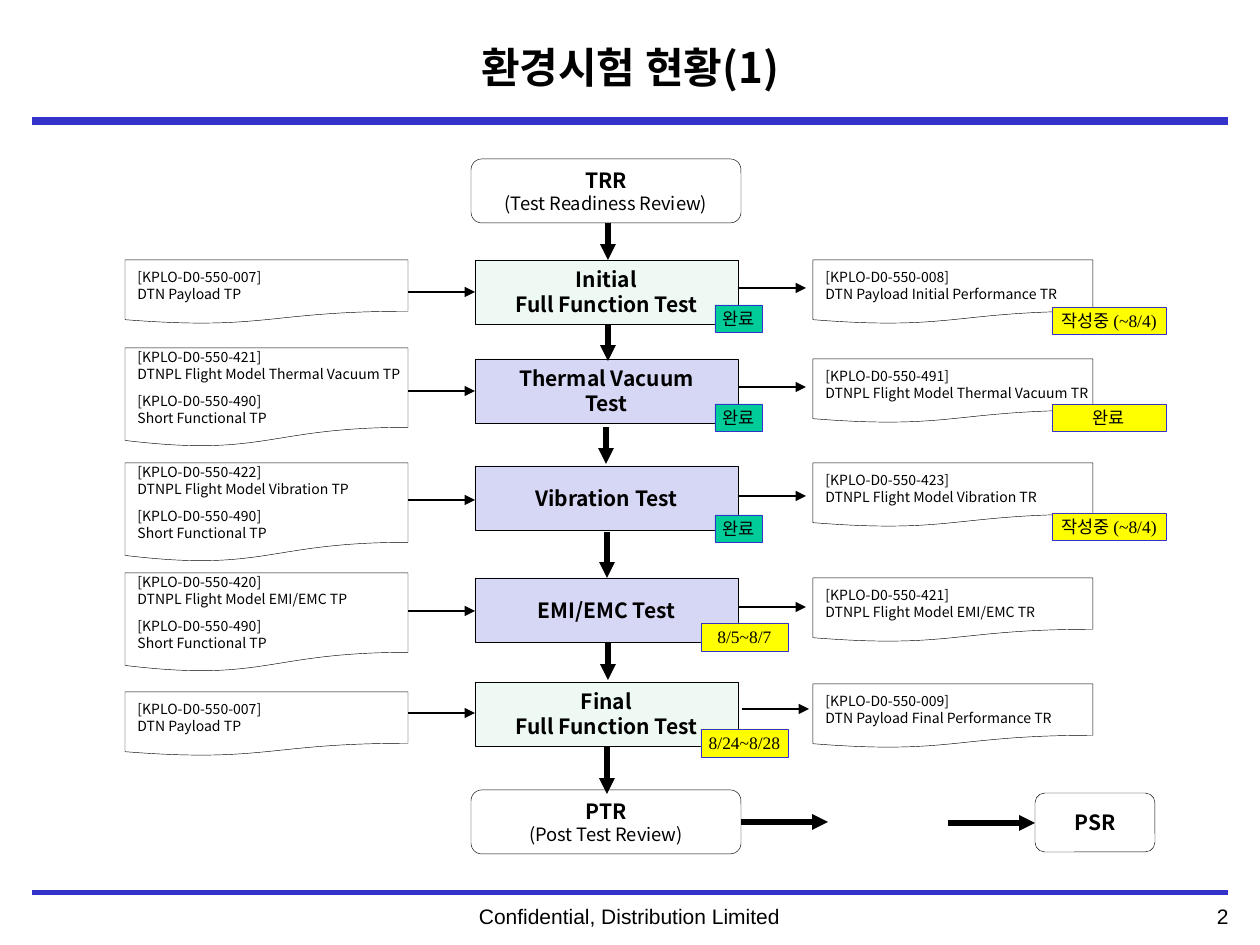
import lxml.etree
import pptx
import pptx.dml.color
import pptx.enum.shapes
import pptx.enum.text
import pptx.oxml.ns
import pptx.util

SCALE = 914400 / 126
SANS, SERIF = "Noto Sans CJK KR", "Times New Roman"
BLACK, WHITE, BLUE = "000000", "FFFFFF", "3333CC"
MINT, LAVENDER, GREEN, YELLOW = "EEF9F4", "D6D6F5", "00CC99", "FFFF00"
SHAPES = pptx.enum.shapes.MSO_SHAPE
ALIGN = pptx.enum.text.PP_ALIGN

STAGES = [
    (260, "Initial\nFull Function Test", MINT),
    (359, "Thermal Vacuum\nTest", LAVENDER),
    (466, "Vibration Test", LAVENDER),
    (578, "EMI/EMC Test", LAVENDER),
    (682, "Final\nFull Function Test", MINT),
]
SHORT_TEST = ["[KPLO-D0-550-490]", "Short Functional TP"]
PROCEDURES = [
    (260, 64, ["[KPLO-D0-550-007]", "DTN Payload TP"]),
    (348, 99, ["[KPLO-D0-550-421]", "DTNPL Flight Model Thermal Vacuum TP"] + SHORT_TEST),
    (463, 99, ["[KPLO-D0-550-422]", "DTNPL Flight Model Vibration TP"] + SHORT_TEST),
    (573, 99, ["[KPLO-D0-550-420]", "DTNPL Flight Model EMI/EMC TP"] + SHORT_TEST),
    (692, 64, ["[KPLO-D0-550-007]", "DTN Payload TP"]),
]
REPORTS = [
    (260, ["[KPLO-D0-550-008]", "DTN Payload Initial Performance TR"]),
    (359, ["[KPLO-D0-550-491]", "DTNPL Flight Model Thermal Vacuum TR"]),
    (463, ["[KPLO-D0-550-423]", "DTNPL Flight Model Vibration TR"]),
    (578, ["[KPLO-D0-550-421]", "DTNPL Flight Model EMI/EMC TR"]),
    (684, ["[KPLO-D0-550-009]", "DTN Payload Final Performance TR"]),
]
INPUT_ARROWS = [(292, 408), (391, 408), (500, 408), (611, 408), (713, 408)]
OUTPUT_ARROWS = [(288, 739), (387, 739), (496, 739), (607, 739), (709, 742)]
DOWN_ARROWS = [(608, 223, 260), (608, 325, 361), (606, 427, 464),
               (607, 532, 578), (608, 643, 680), (607, 746, 794)]
BADGES = [
    (715, 305, 47, 27, "완료", GREEN),
    (715, 404, 47, 27, "완료", GREEN),
    (715, 515, 47, 27, "완료", GREEN),
    (1052, 307, 114, 27, "작성중 (~8/4)", YELLOW),
    (1052, 404, 114, 27, "완료", YELLOW),
    (1052, 513, 114, 27, "작성중 (~8/4)", YELLOW),
    (701, 623, 87, 28, "8/5~8/7", YELLOW),
    (701, 729, 87, 28, "8/24~8/28", YELLOW),
]


def px(*lengths):
    return [pptx.util.Emu(round(length * SCALE)) for length in lengths]


def color(value):
    return pptx.dml.color.RGBColor.from_string(value)


def format_paragraph(paragraph, size, font, bold=False, align=ALIGN.LEFT):
    paragraph.alignment = align
    for run in paragraph.runs:
        run.font.size = pptx.util.Pt(size)
        run.font.bold = bold
        run.font.name = font
        run.font.color.rgb = color(BLACK)
        east_asian = lxml.etree.SubElement(run.font._element, pptx.oxml.ns.qn("a:ea"))
        east_asian.set("typeface", SANS)


def add_box(slide, kind, box, text, fill=WHITE, outline=BLACK):
    shape = slide.shapes.add_shape(kind, *px(*box))
    shape.shadow.inherit = False
    shape.fill.solid()
    shape.fill.fore_color.rgb = color(fill)
    shape.line.color.rgb = color(outline)
    shape.line.width = pptx.util.Pt(0.25)
    shape.text_frame.text = text
    shape.text_frame.word_wrap = False
    shape.text_frame.vertical_anchor = pptx.enum.text.MSO_ANCHOR.MIDDLE
    return shape.text_frame.paragraphs


def add_stage(slide, box, text, fill):
    for paragraph in add_box(slide, SHAPES.RECTANGLE, box, text, fill):
        format_paragraph(paragraph, 12, SANS, True, ALIGN.CENTER)


def add_review(slide, box, text):
    heading, *details = add_box(slide, SHAPES.ROUNDED_RECTANGLE, box, text)
    format_paragraph(heading, 12, SANS, True, ALIGN.CENTER)
    for paragraph in details:
        format_paragraph(paragraph, 10.5, SANS, False, ALIGN.CENTER)


def add_document(slide, box, lines):
    paragraphs = add_box(slide, SHAPES.FLOWCHART_DOCUMENT, box, "\n".join(lines))
    for index, paragraph in enumerate(paragraphs):
        format_paragraph(paragraph, 8, SANS)
        if index == 2:
            paragraph.space_before = pptx.util.Pt(6)


def add_badge(slide, left, top, width, height, text, fill):
    box = (left, top, width, height)
    for paragraph in add_box(slide, SHAPES.RECTANGLE, box, text, fill, BLUE):
        format_paragraph(paragraph, 10, SERIF, False, ALIGN.CENTER)


def add_line(slide, start, end, width, stroke=BLACK, arrow=True):
    straight = pptx.enum.shapes.MSO_CONNECTOR.STRAIGHT
    connector = slide.shapes.add_connector(straight, *px(*start, *end))
    connector.line.color.rgb = color(stroke)
    connector.line.width = pptx.util.Pt(width)
    if arrow:
        line = connector.line._get_or_add_ln()
        lxml.etree.SubElement(line, pptx.oxml.ns.qn("a:tailEnd")).set("type", "triangle")
    lxml.etree.SubElement(connector._element.spPr, pptx.oxml.ns.qn("a:effectLst"))


def add_caption(slide, box, text, align):
    text_box = slide.shapes.add_textbox(*px(*box))
    text_box.text_frame.word_wrap = True
    text_box.text_frame.text = text
    format_paragraph(text_box.text_frame.paragraphs[0], 12, "Arial", False, align)


def add_frame(slide):
    for y, width in ((893, 2), (892, 2), (121, 4.5)):
        add_line(slide, (32, y), (1228, y), width, BLUE, False)
    add_caption(slide, (1037, 897, 204, 38), "2", ALIGN.RIGHT)
    add_caption(slide, (309, 897, 641, 38), "Confidential, Distribution Limited", ALIGN.CENTER)
    title = slide.shapes.title
    title.left, title.top, title.width, title.height = px(168, 18, 924, 97)
    title.text_frame.text = "환경시험 현황(1)"
    title.text_frame.vertical_anchor = pptx.enum.text.MSO_ANCHOR.MIDDLE
    format_paragraph(title.text_frame.paragraphs[0], 24, SANS, True, ALIGN.CENTER)


def main():
    presentation = pptx.Presentation()
    presentation.slide_width, presentation.slide_height = px(1260, 945)
    slide = presentation.slides.add_slide(presentation.slide_layouts[5])
    add_frame(slide)
    add_review(slide, (471, 159, 270, 64), "TRR\n(Test Readiness Review)")
    for top, text, fill in STAGES:
        add_stage(slide, (475, top, 263, 64), text, fill)
    add_review(slide, (471, 790, 270, 64), "PTR\n(Post Test Review)")
    add_review(slide, (1035, 793, 120, 59), "PSR")
    for top, height, lines in PROCEDURES:
        add_document(slide, (125, top, 283, height), lines)
    for top, lines in REPORTS:
        add_document(slide, (813, top, 280, 64), lines)
    for y, x in INPUT_ARROWS + OUTPUT_ARROWS:
        add_line(slide, (x, y), (x + 67, y), 1)
    for x, top, bottom in DOWN_ARROWS:
        add_line(slide, (x, top), (x, bottom), 3)
    for x, y in ((741, 822), (948, 823)):
        add_line(slide, (x, y), (x + 87, y), 3)
    for badge in BADGES:
        add_badge(slide, *badge)
    presentation.save("out.pptx")


if __name__ == "__main__":
    main()
